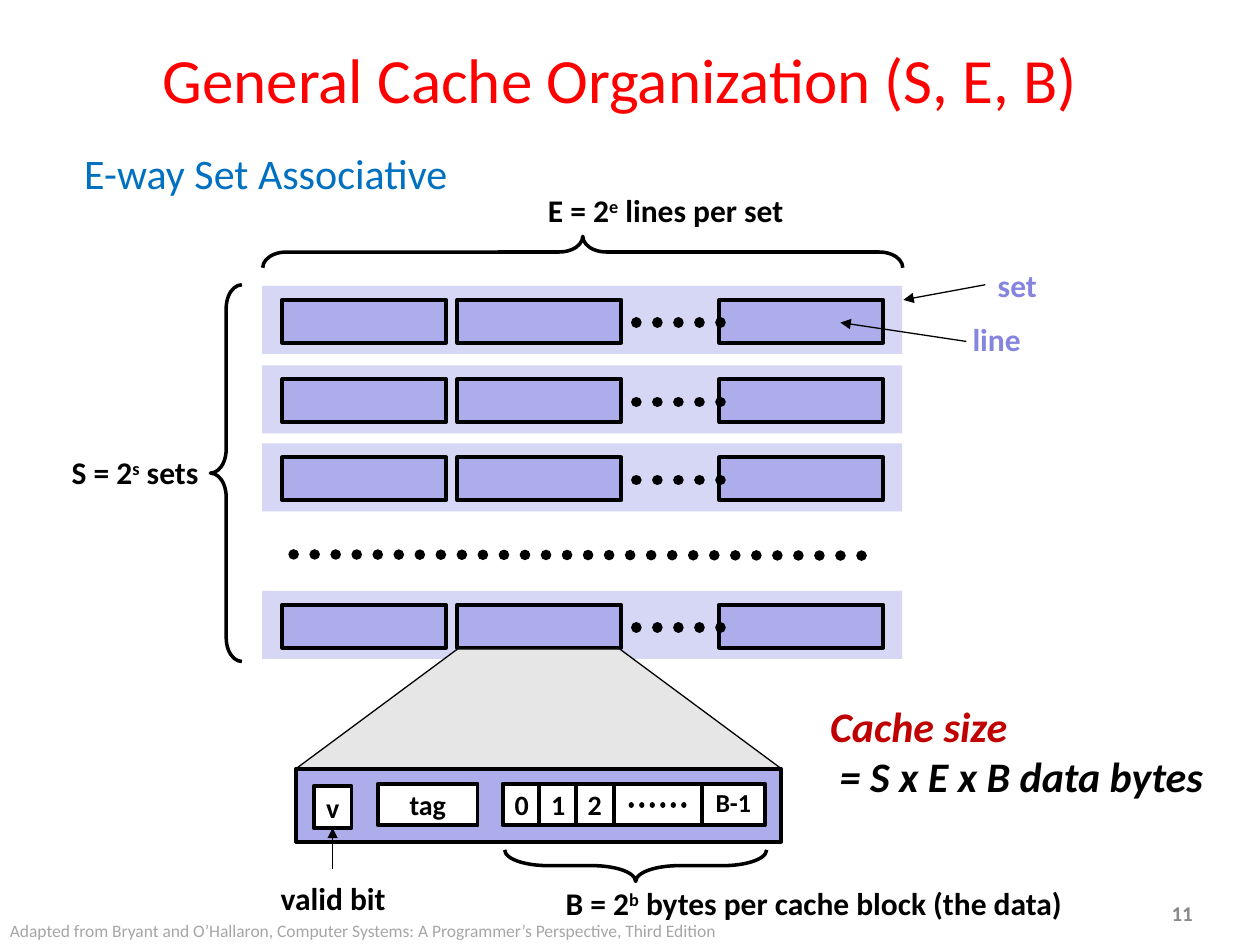
from dataclasses import dataclass

from lxml import etree
from pptx import Presentation
from pptx.dml.color import RGBColor
from pptx.enum.dml import MSO_LINE
from pptx.enum.shapes import MSO_CONNECTOR, MSO_SHAPE
from pptx.enum.text import MSO_ANCHOR, MSO_AUTO_SIZE, PP_ALIGN
from pptx.oxml.ns import qn
from pptx.util import Pt

EMU_PER_PX = 9144
FONT = "Calibri"

BLACK = RGBColor(0x00, 0x00, 0x00)
WHITE = RGBColor(0xFF, 0xFF, 0xFF)
RED = RGBColor(0xFF, 0x00, 0x00)
DARK_RED = RGBColor(0xC0, 0x00, 0x00)
BLUE = RGBColor(0x00, 0x70, 0xC0)
SET_FILL = RGBColor(0xD6, 0xD6, 0xF5)
LINE_FILL = RGBColor(0xAD, 0xAD, 0xEB)
LABEL_VIOLET = RGBColor(0x85, 0x85, 0xE0)
ZOOM_GRAY = RGBColor(0xE6, 0xE6, 0xE6)
NUMBER_GRAY = RGBColor(0x89, 0x89, 0x89)
CREDIT_GRAY = RGBColor(0xA6, 0xA6, 0xA6)

RECT = MSO_SHAPE.RECTANGLE
BRACE = MSO_SHAPE.LEFT_BRACE
TRAPEZOID = MSO_SHAPE.TRAPEZOID
STRAIGHT = MSO_CONNECTOR.STRAIGHT
DOTTED = MSO_LINE.ROUND_DOT
TOP, MIDDLE = MSO_ANCHOR.TOP, MSO_ANCHOR.MIDDLE
LEFT, CENTER = PP_ALIGN.LEFT, PP_ALIGN.CENTER
FIT_TEXT = MSO_AUTO_SIZE.SHAPE_TO_FIT_TEXT
BOTTOM_SIDE = 2


@dataclass(frozen=True)
class Box:
    left: int
    top: int
    width: int
    height: int


@dataclass(frozen=True)
class Run:
    text: str
    color: RGBColor = BLACK
    raised: bool = False


@dataclass(frozen=True)
class Label:
    box: Box
    paragraphs: tuple[tuple[Run, ...], ...]
    size: float = 18
    bold: bool = True
    italic: bool = False
    align: PP_ALIGN = LEFT
    anchor: MSO_ANCHOR = TOP
    fit: bool = True


@dataclass(frozen=True)
class Cell:
    text: str
    box: Box
    size: float = 16
    spacing: float | None = None


@dataclass(frozen=True)
class Brace:
    box: Box
    rotation: int
    curve: float


def px(length: int) -> int:
    return length * EMU_PER_PX


def place(box: Box) -> tuple[int, int, int, int]:
    return px(box.left), px(box.top), px(box.width), px(box.height)


def add_run(paragraph, run: Run, size: float, bold: bool, italic: bool = False) -> None:
    part = paragraph.add_run()
    part.text = run.text
    part.font.name = FONT
    part.font.size = Pt(size)
    part.font.bold = bold
    part.font.italic = italic
    part.font.color.rgb = run.color
    if run.raised:
        part._r.get_or_add_rPr().set("baseline", "30000")


def add_label(shapes, label: Label) -> None:
    frame = shapes.add_textbox(*place(label.box)).text_frame
    frame.word_wrap = False
    frame.vertical_anchor = label.anchor
    if label.fit:
        frame.auto_size = FIT_TEXT
    for index, runs in enumerate(label.paragraphs):
        paragraph = frame.add_paragraph() if index else frame.paragraphs[0]
        paragraph.alignment = label.align
        for run in runs:
            add_run(paragraph, run, label.size, label.bold, label.italic)


def add_block(shapes, kind: MSO_SHAPE, box: Box, fill: RGBColor | None, weight: float = 0):
    block = shapes.add_shape(kind, *place(box))
    block.shadow.inherit = False
    if fill is None:
        block.fill.background()
    else:
        block.fill.solid()
        block.fill.fore_color.rgb = fill
    if weight:
        block.line.color.rgb = BLACK
        block.line.width = Pt(weight)
    else:
        block.line.fill.background()
    return block


def add_brace(shapes, brace: Brace) -> None:
    shape = add_block(shapes, BRACE, brace.box, None, 2)
    shape.adjustments[0] = brace.curve
    shape.rotation = brace.rotation


def add_cell(shapes, cell: Cell):
    block = add_block(shapes, RECT, cell.box, WHITE, 2.25)
    if cell.text:
        frame = block.text_frame
        frame.word_wrap = False
        frame.vertical_anchor = MIDDLE
        paragraph = frame.paragraphs[0]
        paragraph.alignment = CENTER
        if cell.spacing:
            paragraph.line_spacing = cell.spacing
        add_run(paragraph, Run(cell.text), cell.size, True)
    return block


def add_line(shapes, start: tuple[int, int], end: tuple[int, int], weight: float):
    line = shapes.add_connector(STRAIGHT, *map(px, start + end))
    line.line.color.rgb = BLACK
    line.line.width = Pt(weight)
    etree.SubElement(line._element.spPr, qn("a:effectLst"))
    return line


def add_dots(shapes, start: tuple[int, int], end: tuple[int, int], weight: float) -> None:
    dots = add_line(shapes, start, end, weight)
    dots.line.dash_style = DOTTED
    dots.line._get_or_add_ln().set("cap", "rnd")


def add_arrow(shapes, start: tuple[int, int], end: tuple[int, int]):
    arrow = add_line(shapes, start, end, 0.75)
    etree.SubElement(arrow.line._get_or_add_ln(), qn("a:tailEnd"), type="triangle")
    return arrow


def add_cache_set(shapes, top: int) -> None:
    cache_set = shapes.add_group_shape().shapes
    add_block(cache_set, RECT, Box(208, top, 508, 54), SET_FILL)
    for left in (224, 363, 571):
        add_block(cache_set, RECT, Box(left, top + 11, 130, 34), LINE_FILL, 2.25)
    add_dots(cache_set, (505, top + 29), (572, top + 29), 6)


SET_TOPS = (227, 290, 352, 469)

BRACES = (
    Brace(Box(450, -54, 25, 508), 90, 0.75),
    Brace(Box(167, 226, 25, 299), 0, 0.75),
    Brace(Box(492, 583, 25, 208), 270, 1.37),
)

BLOCK_CELLS = (
    *(Cell(str(n), Box(399 + 29 * n, 622, 30, 33)) for n in range(3)),
    Cell("B-1", Box(557, 622, 50, 33), 14.8, 0.9),
    Cell("", Box(487, 622, 70, 33)),
    Cell("tag", Box(300, 622, 79, 33)),
)
VALID_CELL = Cell("v", Box(249, 624, 30, 33))

LABELS = (
    Label(Box(43, 21, 898, 83), ((Run("General Cache Organization (S, E, B)", RED),),),
          36, bold=False, align=CENTER, anchor=MIDDLE, fit=False),
    Label(Box(57, 112, 311, 50), ((Run("E-way Set Associative", BLUE),),), 24, bold=False),
    Label(Box(425, 147, 214, 40),
          ((Run("E = 2"), Run("e", raised=True), Run(" lines per set")),)),
    Label(Box(47, 355, 123, 40), ((Run("S = 2"), Run("s", raised=True), Run(" sets")),)),
    Label(Box(782, 206, 51, 40), ((Run("set", LABEL_VIOLET),),), anchor=MIDDLE),
    Label(Box(762, 249, 59, 40), ((Run("line", LABEL_VIOLET),),)),
    Label(Box(439, 697, 429, 40),
          ((Run("B = 2"), Run("b", raised=True), Run(" bytes per cache block (the data)")),)),
    Label(Box(649, 551, 318, 91),
          ((Run("Cache size", DARK_RED),), (Run(" = S x E x B data bytes"),)), 24, italic=True),
    Label(Box(213, 693, 104, 40), ((Run("valid bit"),),)),
    Label(Box(920, 710, 40, 30), ((Run("11", NUMBER_GRAY),),), 12, anchor=MIDDLE, fit=False),
    Label(Box(-2, 725, 595, 27),
          ((Run("Adapted from Bryant and O’Hallaron, Computer Systems: "
                "A Programmer’s Perspective, Third Edition", CREDIT_GRAY),),), 10, bold=False),
)


def main() -> None:
    deck = Presentation()
    deck.slide_width, deck.slide_height = px(1000), px(750)
    shapes = deck.slides.add_slide(deck.slide_layouts[6]).shapes

    for top in SET_TOPS:
        add_cache_set(shapes, top)
    add_dots(shapes, (233, 440), (700, 441), 6)

    zoom = add_block(shapes, TRAPEZOID, Box(235, 515, 385, 95), ZOOM_GRAY, 0.75)
    zoom.adjustments[0] = 1.35
    add_block(shapes, RECT, Box(235, 610, 385, 58), LINE_FILL, 2.25)
    for cell in BLOCK_CELLS:
        add_cell(shapes, cell)
    add_dots(shapes, (501, 639), (551, 639), 3)
    valid_bit = add_cell(shapes, VALID_CELL)

    for brace in BRACES:
        add_brace(shapes, brace)
    for label in LABELS:
        add_label(shapes, label)

    add_arrow(shapes, (782, 226), (717, 238))
    add_arrow(shapes, (767, 271), (667, 256))
    add_arrow(shapes, (264, 690), (264, 657)).end_connect(valid_bit, BOTTOM_SIDE)

    deck.save("out.pptx")


if __name__ == "__main__":
    main()
